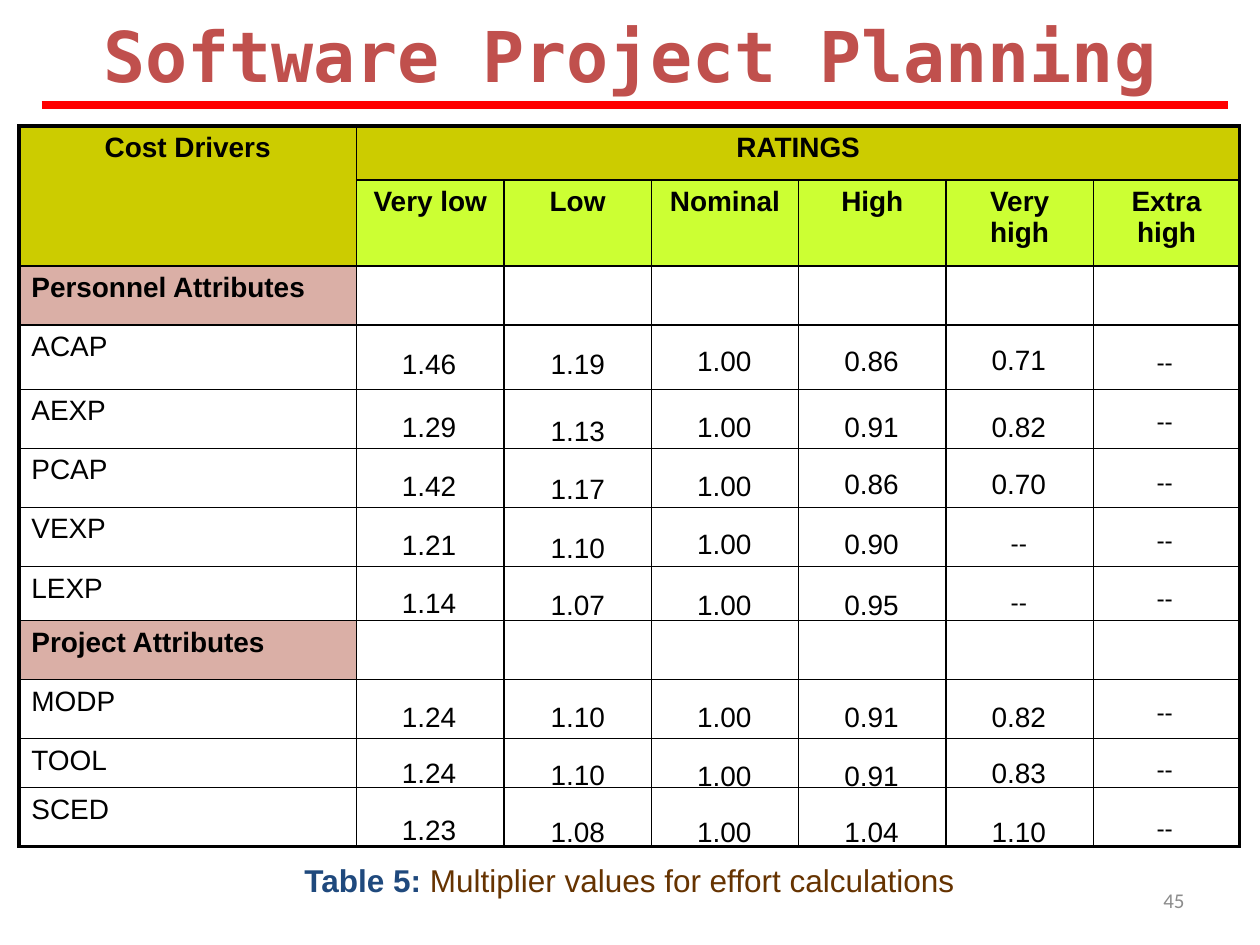
from lxml.etree import SubElement
from pptx import Presentation
from pptx.dml.color import RGBColor
from pptx.enum.shapes import MSO_CONNECTOR
from pptx.enum.text import MSO_ANCHOR, MSO_AUTO_SIZE, PP_ALIGN
from pptx.oxml.ns import qn
from pptx.util import Cm, Pt

BLACK = RGBColor(0x00, 0x00, 0x00)
RED = RGBColor(0xFF, 0x00, 0x00)
BRICK = RGBColor(0xC0, 0x50, 0x4D)
NAVY = RGBColor(0x1F, 0x49, 0x7D)
BROWN = RGBColor(0x66, 0x33, 0x00)
GRAY = RGBColor(0x8C, 0x8C, 0x8C)
OLIVE = RGBColor(0xCC, 0xCC, 0x00)
LIME = RGBColor(0xCC, 0xFF, 0x33)
ROSE = RGBColor(0xDA, 0xAF, 0xA6)

RATINGS = ["Very low", "Low", "Nominal", "High", "Very high", "Extra high"]
COLUMN_WIDTHS = [6.81] + [2.97] * 5 + [2.95]
ROW_HEIGHTS = [1.09, 1.73, 1.19, 1.3, 1.19, 1.19, 1.19, 1.09, 1.19, 1.19, 0.99, 1.19]
VALUE_LEFTS = [7.59, 10.59, 13.54, 16.51, 19.48, 22.42]
DRIVERS = [
    ("Personnel Attributes", [], []),
    ("ACAP", ["1.46", "1.19", "1.00", "0.86", "0.71", "--"],
     [6.99, 6.99, 6.93, 6.93, 6.91, 6.99]),
    ("AEXP", ["1.29", "1.13", "1.00", "0.91", "0.82", "--"],
     [8.26, 8.33, 8.26, 8.26, 8.26, 8.18]),
    ("PCAP", ["1.42", "1.17", "1.00", "0.86", "0.70", "--"],
     [9.45, 9.5, 9.45, 9.4, 9.4, 9.42]),
    ("VEXP", ["1.21", "1.10", "1.00", "0.90", "--", "--"],
     [10.64, 10.69, 10.62, 10.62, 10.64, 10.59]),
    ("LEXP", ["1.14", "1.07", "1.00", "0.95", "--", "--"],
     [11.81, 11.84, 11.84, 11.84, 11.84, 11.76]),
    ("Project Attributes", [], []),
    ("MODP", ["1.24", "1.10", "1.00", "0.91", "0.82", "--"],
     [14.1, 14.1, 14.1, 14.1, 14.1, 14.05]),
    ("TOOL", ["1.24", "1.10", "1.00", "0.91", "0.83", "--"],
     [15.24, 15.27, 15.29, 15.29, 15.24, 15.21]),
    ("SCED", ["1.23", "1.08", "1.00", "1.04", "1.10", "--"],
     [16.38, 16.43, 16.43, 16.43, 16.43, 16.38]),
]


def add_run(paragraph, text, size, color=BLACK, bold=False, font_name="Arial"):
    run = paragraph.add_run()
    run.text = text
    run.font.size = Pt(size)
    run.font.name = font_name
    run.font.bold = bold
    run.font.color.rgb = color


def set_space_before(paragraph, percent):
    properties = paragraph._p.get_or_add_pPr()
    spacing = SubElement(properties, qn("a:spcBef"))
    SubElement(spacing, qn("a:spcPct")).set("val", str(percent * 1000))


def add_text_box(slide, left, top, width, height, margin=0):
    shape = slide.shapes.add_textbox(Cm(left), Cm(top), Cm(width), Cm(height))
    frame = shape.text_frame
    frame.word_wrap = True
    frame.margin_left = frame.margin_right = Cm(margin)
    frame.margin_top = frame.margin_bottom = Cm(margin / 2)
    paragraph = frame.paragraphs[0]
    paragraph.alignment = PP_ALIGN.CENTER
    return frame, paragraph


def add_title(slide):
    title = slide.shapes.title
    title.left, title.top, title.width, title.height = Cm(0.84), Cm(0.13), Cm(23.7), Cm(1.96)
    frame = title.text_frame
    frame.vertical_anchor = MSO_ANCHOR.TOP
    frame.auto_size = MSO_AUTO_SIZE.SHAPE_TO_FIT_TEXT
    frame.word_wrap = True
    paragraph = frame.paragraphs[0]
    paragraph.alignment = PP_ALIGN.CENTER
    set_space_before(paragraph, 50)
    add_run(paragraph, "Software Project Planning", 40, BRICK, True, "DejaVu Sans Mono")


def add_rule(slide):
    rule = slide.shapes.add_connector(
        MSO_CONNECTOR.STRAIGHT, Cm(0.84), Cm(2.11), Cm(24.76), Cm(2.11))
    rule.line.color.rgb = RED
    rule.line.width = Pt(4.5)
    SubElement(rule._element.spPr, qn("a:effectLst"))


def set_borders(cell, edges):
    properties = cell._tc.get_or_add_tcPr()
    for index, (side, outer) in enumerate(zip("LRTB", edges)):
        border = SubElement(properties, qn("a:ln" + side))
        border.set("w", str(Pt(2.25 if outer else 1)))
        fill = SubElement(border, qn("a:solidFill"))
        SubElement(fill, qn("a:srgbClr")).set("val", str(BLACK))
        properties.insert(index, border)


def fill_cell(cell, text, color, bold, alignment):
    if color:
        cell.fill.solid()
        cell.fill.fore_color.rgb = color
    else:
        cell.fill.background()
    paragraph = cell.text_frame.paragraphs[0]
    if text:
        paragraph.alignment = alignment
        set_space_before(paragraph, 20)
        add_run(paragraph, text, 16, bold=bold)
    else:
        SubElement(paragraph._p, qn("a:endParaRPr")).set("sz", "1600")


def add_driver_table(slide):
    row_count, column_count = len(ROW_HEIGHTS), len(COLUMN_WIDTHS)
    frame = slide.shapes.add_table(
        row_count, column_count, Cm(0.38), Cm(2.54),
        Cm(sum(COLUMN_WIDTHS)), Cm(sum(ROW_HEIGHTS)))
    table = frame.table
    table.first_row = table.horz_banding = False
    for column, width in zip(table.columns, COLUMN_WIDTHS):
        column.width = Cm(width)
    for row, height in zip(table.rows, ROW_HEIGHTS):
        row.height = Cm(height)
    table.cell(0, 0).merge(table.cell(1, 0))
    table.cell(0, 1).merge(table.cell(0, column_count - 1))

    texts = {(0, 0): ("Cost Drivers", OLIVE), (0, 1): ("RATINGS", OLIVE)}
    for column, rating in enumerate(RATINGS, 1):
        texts[1, column] = (rating, LIME)
    for row, (name, values, tops) in enumerate(DRIVERS, 2):
        texts[row, 0] = (name, None if values else ROSE)

    for row in range(row_count):
        for column in range(column_count):
            cell = table.cell(row, column)
            text, color = texts.get((row, column), ("", None))
            alignment = PP_ALIGN.CENTER if row < 2 else PP_ALIGN.LEFT
            fill_cell(cell, text, color, color is not None, alignment)
            span = cell.span_width if cell.is_merge_origin else 1
            set_borders(cell, (column == 0, column + span == column_count,
                               row == 0, row == row_count - 1))


def add_values(slide):
    for name, values, tops in DRIVERS:
        for value, left, top in zip(values, VALUE_LEFTS, tops):
            frame, paragraph = add_text_box(slide, left, top, 2.12, 0.33)
            set_space_before(paragraph, 20)
            add_run(paragraph, value, 14 if value == "--" else 16)


def add_caption(slide):
    frame, paragraph = add_text_box(slide, 5.28, 17.35, 14.82, 0.77)
    frame.auto_size = MSO_AUTO_SIZE.SHAPE_TO_FIT_TEXT
    set_space_before(paragraph, 50)
    add_run(paragraph, "Table 5: ", 18, NAVY, True)
    add_run(paragraph, "Multiplier values for effort calculations", 18, BROWN)


def add_page_number(slide):
    frame, paragraph = add_text_box(slide, 18.2, 17.65, 5.93, 1.01, 0.25)
    frame.vertical_anchor = MSO_ANCHOR.MIDDLE
    paragraph.alignment = PP_ALIGN.RIGHT
    add_run(paragraph, "45", 12, GRAY, font_name="Calibri")


def main():
    presentation = Presentation()
    presentation.slide_width, presentation.slide_height = Cm(25.4), Cm(19.05)
    slide = presentation.slides.add_slide(presentation.slide_layouts[5])
    add_page_number(slide)
    add_rule(slide)
    add_title(slide)
    add_driver_table(slide)
    add_values(slide)
    add_caption(slide)
    presentation.save("out.pptx")


main()
